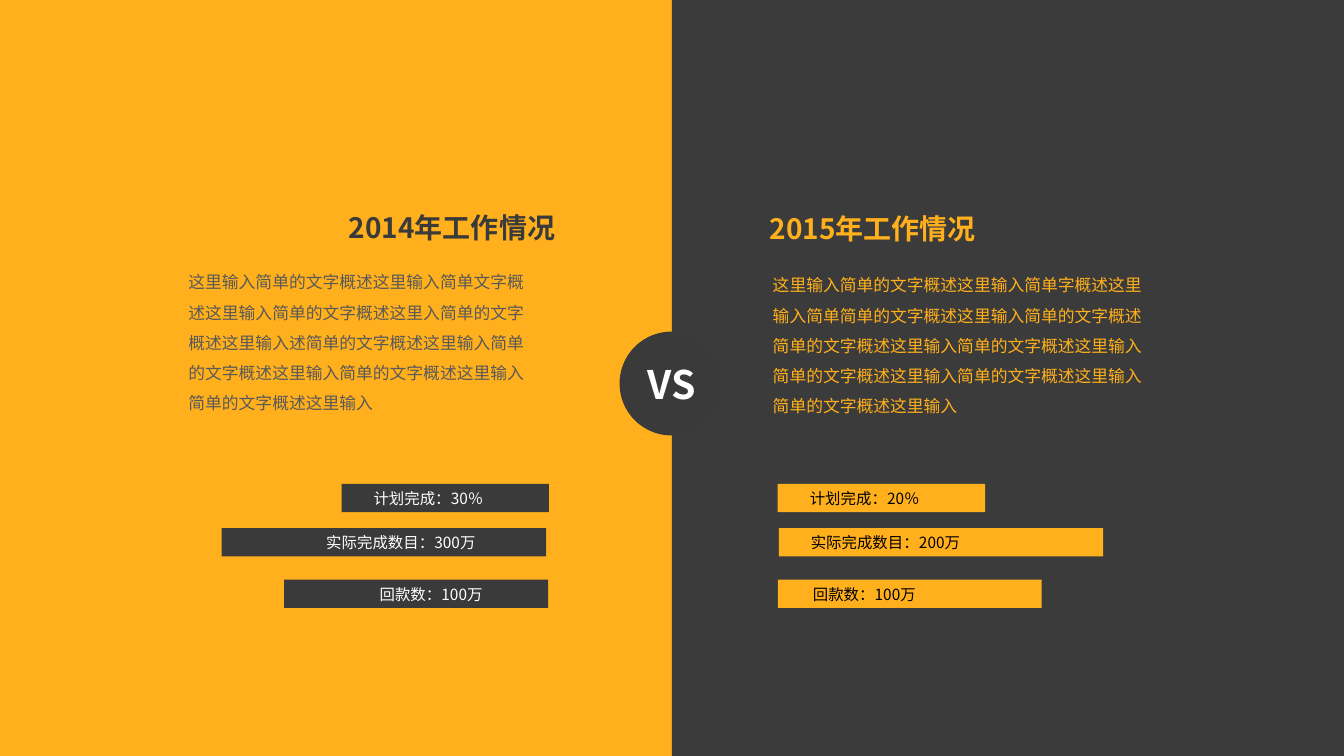
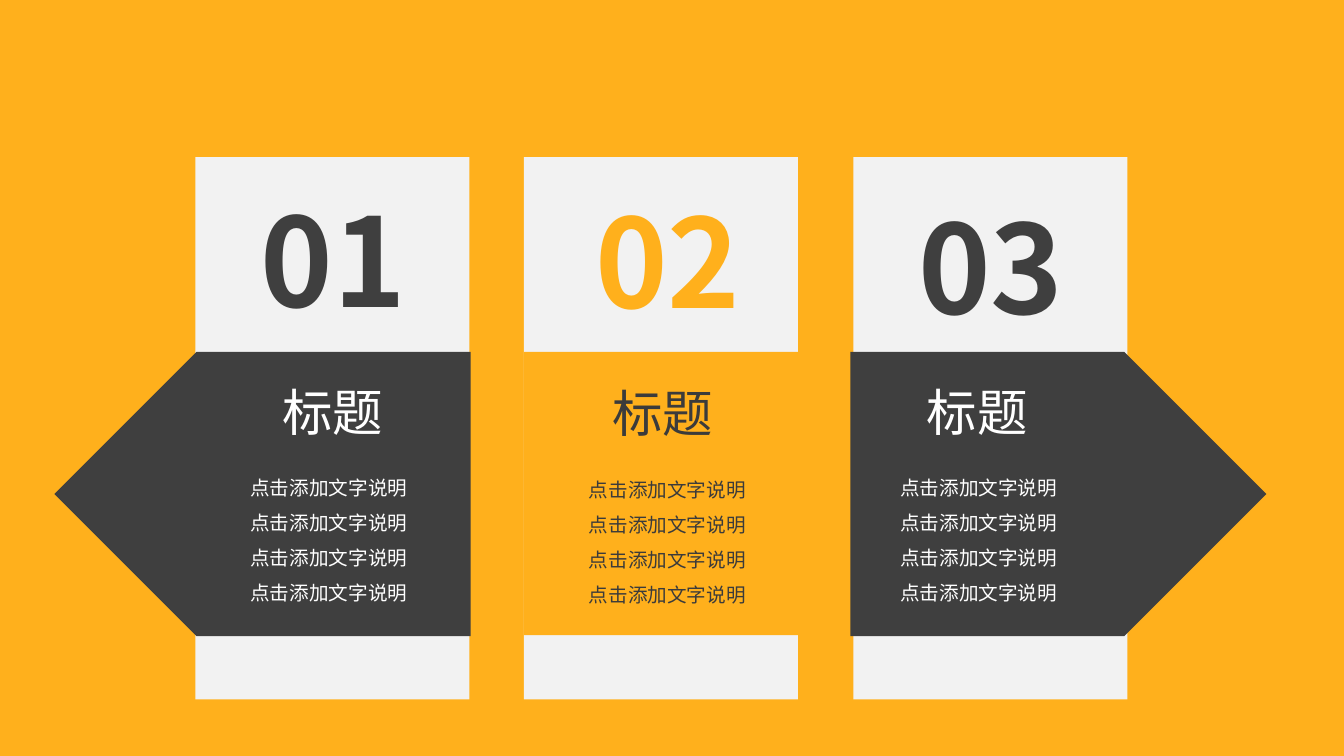
from lxml import etree
from pptx import Presentation
from pptx.dml.color import RGBColor
from pptx.enum.shapes import MSO_SHAPE as Preset
from pptx.enum.text import MSO_ANCHOR as Anchor, MSO_AUTO_SIZE as AutoSize, PP_ALIGN as Align
from pptx.oxml.ns import qn
from pptx.util import Inches, Pt

ORANGE = RGBColor(0xFF, 0xB0, 0x1C)
CHARCOAL = RGBColor(0x3B, 0x3B, 0x3B)
INK = RGBColor(0x3A, 0x3A, 0x3B)
ARROW = RGBColor(0x3F, 0x3F, 0x3F)
GREY = RGBColor(0x59, 0x59, 0x59)
PALE = RGBColor(0xF2, 0xF2, 0xF2)
WHITE = RGBColor(0xFF, 0xFF, 0xFF)
BLACK = RGBColor(0, 0, 0)

MAIN_FONT = "Noto Sans CJK SC"
LIST_FONT = "Karla"
COMPARISON_LAYOUT = 4


class SlideBuilder:
    """Holds the shared style and the slide being filled."""

    def __init__(self, deck):
        self.deck = deck
        self.slide = None

    def start_slide(self):
        layout = self.deck.slide_layouts[COMPARISON_LAYOUT]
        self.slide = self.deck.slides.add_slide(layout)
        fill = self.slide.background.fill
        fill.solid()
        fill.fore_color.rgb = ORANGE

    def shape(self, preset, left, top, width, height, color):
        shape = self.slide.shapes.add_shape(
            preset, Inches(left), Inches(top), Inches(width), Inches(height))
        shape.shadow.inherit = False
        shape.fill.solid()
        shape.fill.fore_color.rgb = color
        shape.line.fill.background()
        return shape

    def placeholder(self, index, left, top, width, height):
        """Move a layout placeholder into place, in front of all earlier shapes."""
        holder = self.slide.placeholders[index]
        holder.left, holder.top = Inches(left), Inches(top)
        holder.width, holder.height = Inches(width), Inches(height)
        holder.element.getparent().append(holder.element)
        return holder

    def text(self, area, lines, size, color, holder=None, font=MAIN_FONT, bold=False,
             align=Align.LEFT, spacing=1.0, wrap=True, anchor=Anchor.TOP):
        """Write lines in a text box, or in the placeholder with index holder."""
        if holder is None:
            box = self.slide.shapes.add_textbox(*map(Inches, area))
        else:
            box = self.placeholder(holder, *area)
        frame = box.text_frame
        frame.word_wrap = wrap
        frame.auto_size = AutoSize.SHAPE_TO_FIT_TEXT
        frame.vertical_anchor = anchor
        frame.margin_left = frame.margin_right = Inches(0.1)
        frame.margin_top = frame.margin_bottom = Inches(0.05)
        for number, line in enumerate(lines):
            para = frame.add_paragraph() if number else frame.paragraphs[0]
            para.alignment = align
            para.line_spacing = spacing
            para.space_before = para.space_after = Pt(0)
            if holder is not None:
                self.remove_bullet(para)
            span = para.add_run()
            span.text = line
            self.style(span.font, size, color, font, bold)

    @staticmethod
    def remove_bullet(para):
        properties = para._p.get_or_add_pPr()
        properties.set("marL", "0")
        properties.set("indent", "0")
        etree.SubElement(properties, qn("a:buNone"))

    @staticmethod
    def style(font, size, color, name, bold):
        font.size = Pt(size)
        font.bold = bold
        font.color.rgb = color
        font.name = name
        east_asian = etree.SubElement(font._element, qn("a:ea"))
        east_asian.set("typeface", name)

    def finish_slide(self):
        for holder in list(self.slide.placeholders):
            if not holder.text_frame.text:
                holder.element.getparent().remove(holder.element)


def build_comparison(page):
    page.start_slide()
    page.shape(Preset.RECTANGLE, 6.67, 0, 6.67, 7.5, CHARCOAL)

    page.text((2.64, 2.04, 2.97, 0.44), ["2014年工作情况"], 20, INK,
              holder=1, bold=True, align=Align.RIGHT)
    page.text((1.77, 2.55, 3.94, 1.6), [
        "这里输入简单的文字概述这里输入简单文字概",
        "述这里输入简单的文字概述这里入简单的文字",
        "概述这里输入述简单的文字概述这里输入简单",
        "的文字概述这里输入简单的文字概述这里输入",
        "简单的文字概述这里输入",
    ], 12, GREY, holder=2, spacing=1.5)

    page.text((7.54, 2.05, 2.97, 0.44), ["2015年工作情况"], 20, ORANGE,
              holder=3, bold=True)
    page.text((7.57, 2.58, 4, 1.6), [
        "这里输入简单的文字概述这里输入简单字概述这里输入简单简单的文字概述"
        "这里输入简单的文字概述简单的文字概述这里输入简单的文字概述这里输入"
        "简单的文字概述这里输入简单的文字概述这里输入简单的文字概述这里输入",
    ], 12, ORANGE, holder=4, spacing=1.5)

    # Bar top, bar width, label top, label width
    rows = [(4.8, 2.06, 4.8, 1.37), (5.24, 3.22, 5.24, 1.76), (5.75, 2.62, 5.76, 1.3)]
    # Bar colour, label colour, then bar left, label left and label of each row
    sides = [
        (INK, WHITE, [(3.39, 3.61, "计划完成：30％"),
                      (2.2, 3.14, "实际完成数目：300万"),
                      (2.82, 3.67, "回款数：100万")]),
        (ORANGE, BLACK, [(7.72, 7.94, "计划完成：20％"),
                         (7.73, 7.95, "实际完成数目：200万"),
                         (7.72, 7.97, "回款数：100万")]),
    ]
    for bar_color, label_color, bars in sides:
        for (top, width, label_top, label_width), (left, label_left, label) in zip(rows, bars):
            page.shape(Preset.RECTANGLE, left, top, width, 0.28, bar_color)
            page.text((label_left, label_top, label_width, 0.29), [label], 11,
                      label_color, wrap=False)

    page.shape(Preset.OVAL, 6.15, 3.29, 1.03, 1.03, INK)
    page.text((6.15, 3.52, 1.03, 0.57), ["VS"], 28, WHITE, holder=0,
              bold=True, align=Align.CENTER, anchor=Anchor.MIDDLE)
    page.finish_slide()


def build_cards(page):
    page.start_slide()
    for left in (1.94, 5.2, 8.47):
        page.shape(Preset.RECTANGLE, left, 1.56, 2.72, 5.38, PALE)
    left_arrow = page.shape(Preset.PENTAGON, 0.54, 3.49, 4.13, 2.82, ARROW)
    left_arrow.rotation = 180
    page.shape(Preset.RECTANGLE, 5.2, 3.49, 2.72, 2.81, ORANGE)
    page.shape(Preset.PENTAGON, 8.44, 3.49, 4.13, 2.82, ARROW)

    # Number, its colour and area, text colour, heading and list positions, placeholders
    cards = [
        ("01", ARROW, (2.21, 1.78, 2.2, 1.57), WHITE, (2.7, 3.73), (2.35, 4.55), 0, 1),
        ("02", ORANGE, (5.65, 1.79, 1.96, 1.57), CHARCOAL, (5.98, 3.74), (5.71, 4.57), None, 2),
        ("03", ARROW, (8.95, 1.85, 1.77, 1.57), WHITE, (9.1, 3.73), (8.8, 4.55), None, 3),
    ]
    for number, number_color, area, color, heading, items, title_holder, list_holder in cards:
        page.text(area, [number], 88, number_color, bold=True, align=Align.CENTER)
        page.text((*heading, 1.29, 0.7), ["标题"], 36, color, holder=title_holder)
        page.text((*items, 1.83, 1.5), ["点击添加文字说明"] * 4, 14, color,
                  holder=list_holder, font=LIST_FONT, align=Align.CENTER, spacing=1.5)
    page.finish_slide()


def main():
    deck = Presentation()
    deck.slide_width, deck.slide_height = Inches(13.34), Inches(7.5)
    page = SlideBuilder(deck)
    build_comparison(page)
    build_cards(page)
    deck.save("out.pptx")


if __name__ == "__main__":
    main()
